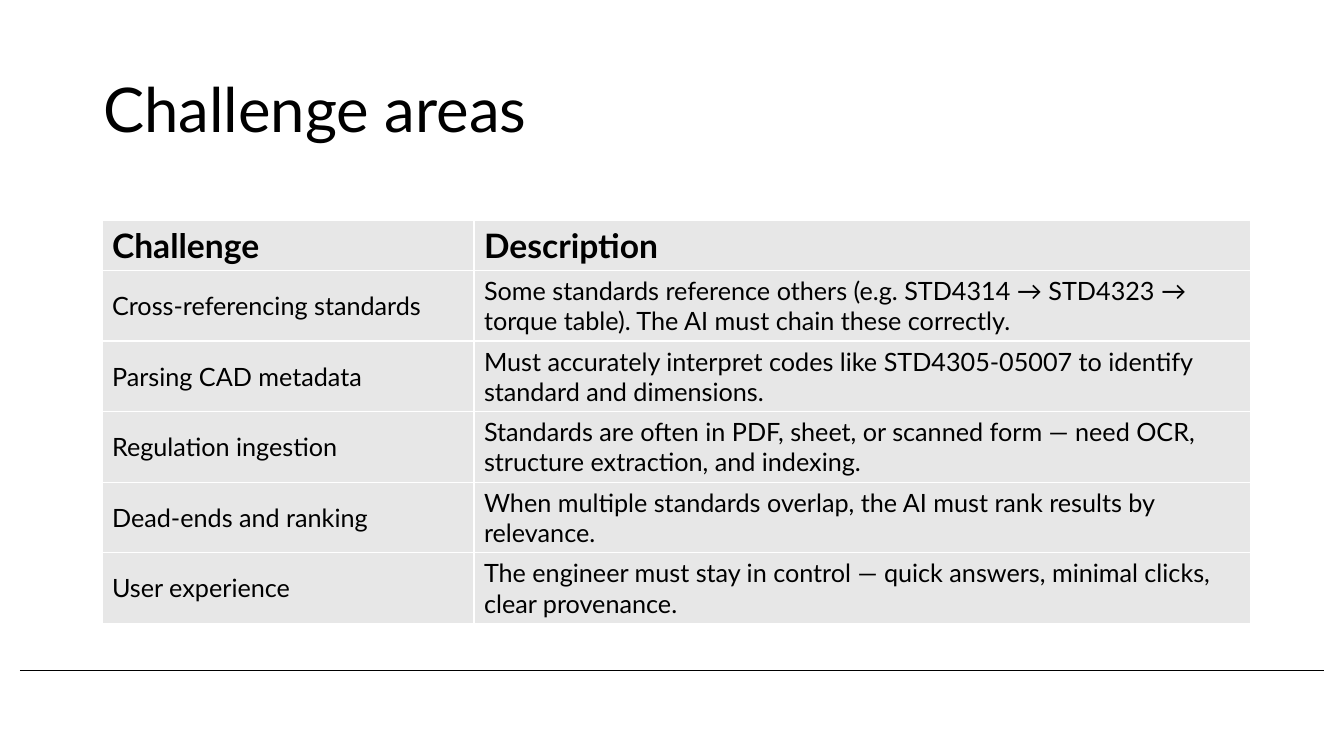
from dataclasses import dataclass

from lxml.etree import SubElement
from pptx import Presentation
from pptx.dml.color import RGBColor
from pptx.enum.shapes import MSO_CONNECTOR as Connector
from pptx.enum.text import MSO_ANCHOR as Anchor, MSO_AUTO_SIZE as AutoSize, PP_ALIGN as Align
from pptx.oxml import parse_xml
from pptx.oxml.ns import nsdecls, qn
from pptx.util import Pt


@dataclass(frozen=True)
class Theme:
    font: str = "Lato"
    ink: str = "000000"
    cell: str = "E7E7E7"
    border: str = "FFFFFF"
    title: int = 44
    header: int = 24
    body: int = 18


THEME = Theme()
EMU_PER_PX = 914400 / 100.8


def px(n):
    return round(n * EMU_PER_PX)


def set_font(p, size, bold=False):
    p.font.name = THEME.font
    p.font.size = Pt(size)
    p.font.bold = bold
    p.font.color.rgb = RGBColor.from_string(THEME.ink)


ROWS = [
    ("Challenge", "Description"),
    ("Cross-referencing standards",
     "Some standards reference others (e.g. STD4314 → STD4323 → torque table). "
     "The AI must chain these correctly."),
    ("Parsing CAD metadata",
     "Must accurately interpret codes like STD4305-05007 to identify standard and dimensions."),
    ("Regulation ingestion",
     "Standards are often in PDF, sheet, or scanned form — need OCR, "
     "structure extraction, and indexing."),
    ("Dead-ends and ranking",
     "When multiple standards overlap, the AI must rank results by relevance."),
    ("User experience",
     "The engineer must stay in control — quick answers, minimal clicks, clear provenance."),
]
COL_WIDTHS = (372, 777)
HEADER_HEIGHT, ROW_HEIGHT = 50, 70

prs = Presentation()
prs.slide_width, prs.slide_height = px(1344), px(756)
s = prs.slides.add_slide(prs.slide_layouts[5])

# Footer rule
rule = s.shapes.add_connector(Connector.STRAIGHT, px(20), px(670), px(1324), px(670))
rule.line.color.rgb = RGBColor.from_string(THEME.ink)
rule.line.width = Pt(0.5)
SubElement(rule._element.spPr, qn("a:effectLst"))

# Title
title = s.shapes.title
title.left, title.top, title.width, title.height = px(93), px(40), px(1159), px(146)
tf = title.text_frame
tf.text = "Challenge areas"
tf.word_wrap = True
tf.auto_size = AutoSize.NONE
tf.vertical_anchor = Anchor.MIDDLE
p = tf.paragraphs[0]
p.alignment = Align.LEFT
p.line_spacing = 0.9
set_font(p, THEME.title)

# Challenge table
height = HEADER_HEIGHT + ROW_HEIGHT * (len(ROWS) - 1)
table = s.shapes.add_table(len(ROWS), len(COL_WIDTHS), px(102), px(220),
                           px(sum(COL_WIDTHS)), px(height)).table
for column, width in zip(table.columns, COL_WIDTHS):
    column.width = px(width)

for i, row in enumerate(ROWS):
    is_header = i == 0
    table.rows[i].height = px(HEADER_HEIGHT if is_header else ROW_HEIGHT)
    for j, text in enumerate(row):
        cell = table.cell(i, j)
        cell.text = text
        cell.vertical_anchor = Anchor.MIDDLE
        cell.fill.solid()
        cell.fill.fore_color.rgb = RGBColor.from_string(THEME.cell)
        set_font(cell.text_frame.paragraphs[0],
                 THEME.header if is_header else THEME.body, is_header)
        for k, side in enumerate(("lnL", "lnR", "lnT", "lnB")):
            cell._tc.tcPr.insert(k, parse_xml(
                f'<a:{side} {nsdecls("a")} w="{Pt(1)}"><a:solidFill>'
                f'<a:srgbClr val="{THEME.border}"/></a:solidFill></a:{side}>'))

prs.save("out.pptx")
